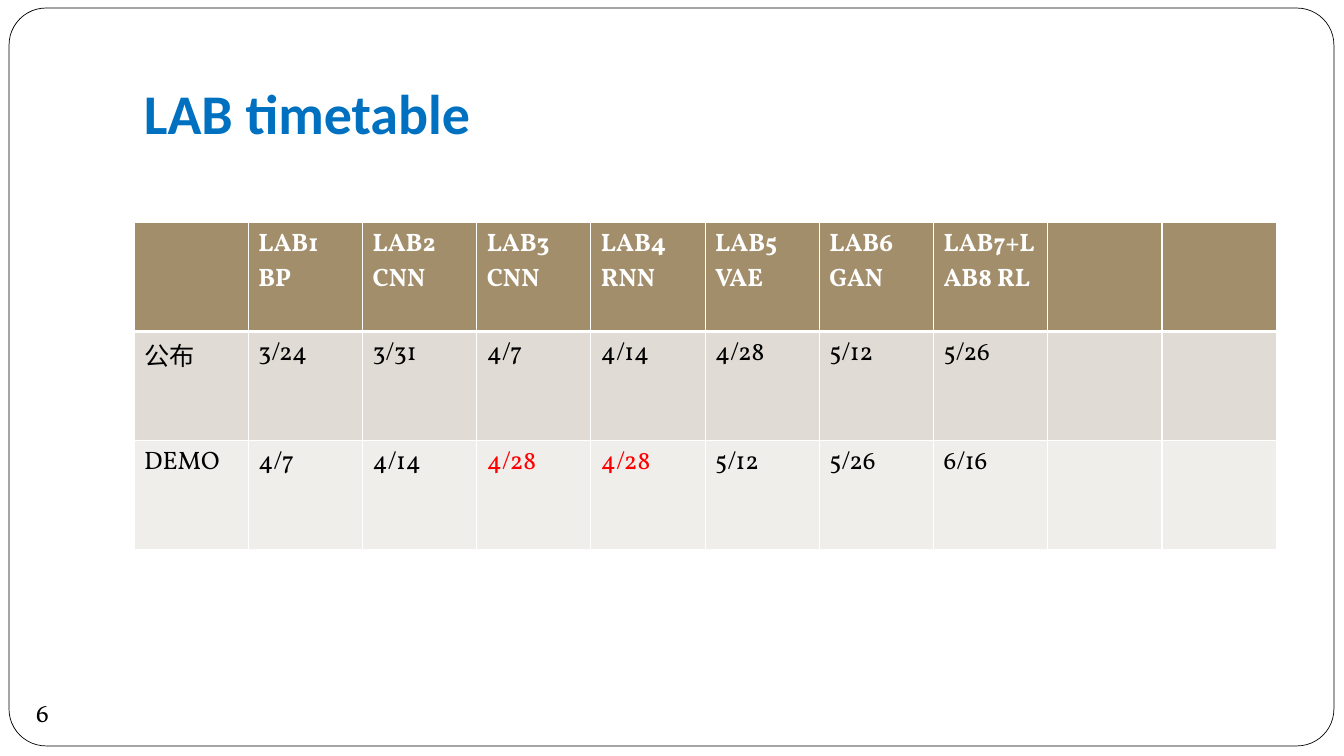
from dataclasses import dataclass

from lxml.etree import SubElement
from pptx import Presentation
from pptx.dml.color import RGBColor
from pptx.enum.shapes import MSO_SHAPE
from pptx.enum.text import MSO_ANCHOR
from pptx.oxml.ns import qn
from pptx.util import Inches, Pt

BODY_FONT = "Vollkorn"
WHITE, BLACK, RED, BLUE = "FFFFFF", "000000", "FF0000", "0070C0"
COLUMN_COUNT = 10
ROW_HEIGHT = 1.08


@dataclass
class TableRow:
    texts: list[str]
    fill: str
    color: str = BLACK
    bold: bool = False
    bottom_border: float = 1
    red_columns: tuple[int, ...] = ()


ROWS = [
    TableRow(["", "LAB1\nBP", "LAB2\nCNN", "LAB3\nCNN", "LAB4\nRNN", "LAB5\nVAE",
              "LAB6\nGAN", "LAB7+LAB8 RL"],
             "A28E6A", color=WHITE, bold=True, bottom_border=3),
    TableRow(["公布", "3/24", "3/31", "4/7", "4/14", "4/28", "5/12", "5/26"], "E0DBD4"),
    TableRow(["DEMO", "4/7", "4/14", "4/28", "4/28", "5/12", "5/26", "6/16"],
             "F0EEEB", red_columns=(3, 4)),
]


def rgb(value: str) -> RGBColor:
    return RGBColor.from_string(value)


def write(frame, text: str, *, size: float = 18, font: str = BODY_FONT,
          color: str = BLACK, bold: bool = False) -> None:
    """Fill a text frame, one paragraph per line of text."""
    frame.text = text
    for para in frame.paragraphs:
        for span in para.runs:
            span.font.name = font
            span.font.size = Pt(size)
            span.font.bold = bold
            span.font.color.rgb = rgb(color)


def add_text(page, left: float, top: float, width: float, height: float,
             text: str, *, wrap: bool = True, **text_format):
    box = page.shapes.add_textbox(Inches(left), Inches(top), Inches(width), Inches(height))
    box.text_frame.word_wrap = wrap
    write(box.text_frame, text, **text_format)
    return box


def add_border(cell, side: str, width: float) -> None:
    properties = cell._tc.get_or_add_tcPr()
    line = SubElement(properties, qn(f"a:{side}"), w=str(Pt(width)))
    SubElement(SubElement(line, qn("a:solidFill")), qn("a:srgbClr"), val=WHITE)


def fill_cell(cell, row: TableRow, row_above: TableRow | None, column: int) -> None:
    top_border = row_above.bottom_border if row_above else 1
    # Borders come before the fill in the cell properties
    for side, width in (("lnL", 1), ("lnR", 1), ("lnT", top_border),
                        ("lnB", row.bottom_border)):
        add_border(cell, side, width)
    cell.fill.solid()
    cell.fill.fore_color.rgb = rgb(row.fill)
    if column < len(row.texts):
        color = RED if column in row.red_columns else row.color
        write(cell.text_frame, row.texts[column], color=color, bold=row.bold)


def add_timetable(page, left: float, top: float, width: float) -> None:
    table = page.shapes.add_table(
        len(ROWS), COLUMN_COUNT, Inches(left), Inches(top),
        Inches(width), Inches(ROW_HEIGHT * len(ROWS))).table
    for index, row in enumerate(ROWS):
        table.rows[index].height = Inches(ROW_HEIGHT)
        row_above = ROWS[index - 1] if index else None
        for column in range(COLUMN_COUNT):
            fill_cell(table.cell(index, column), row, row_above, column)


deck = Presentation()
deck.slide_width, deck.slide_height = Inches(13.33), Inches(7.5)
page = deck.slides.add_slide(deck.slide_layouts[6])

# Rounded page frame
frame = page.shapes.add_shape(MSO_SHAPE.ROUNDED_RECTANGLE, Inches(0.09), Inches(0.08),
                              Inches(13.14), Inches(7.32))
frame.adjustments[0] = 0.05
frame.shadow.inherit = False
frame.fill.solid()
frame.fill.fore_color.rgb = rgb(WHITE)
frame.line.color.rgb = rgb(BLACK)
frame.line.width = Pt(0.5)

# Page number
add_text(page, 0.26, 6.87, 0.5, 0.4, "6", wrap=False)

# Title
title = add_text(page, 1.33, 0.3, 11.33, 1.25, "LAB timetable",
                 size=40, font="Calibri", color=BLUE, bold=True)
title.text_frame.vertical_anchor = MSO_ANCHOR.BOTTOM
title.text_frame.margin_bottom = Inches(0.1)

# Timetable
add_timetable(page, 1.33, 2.21, 11.33)

deck.save("out.pptx")
